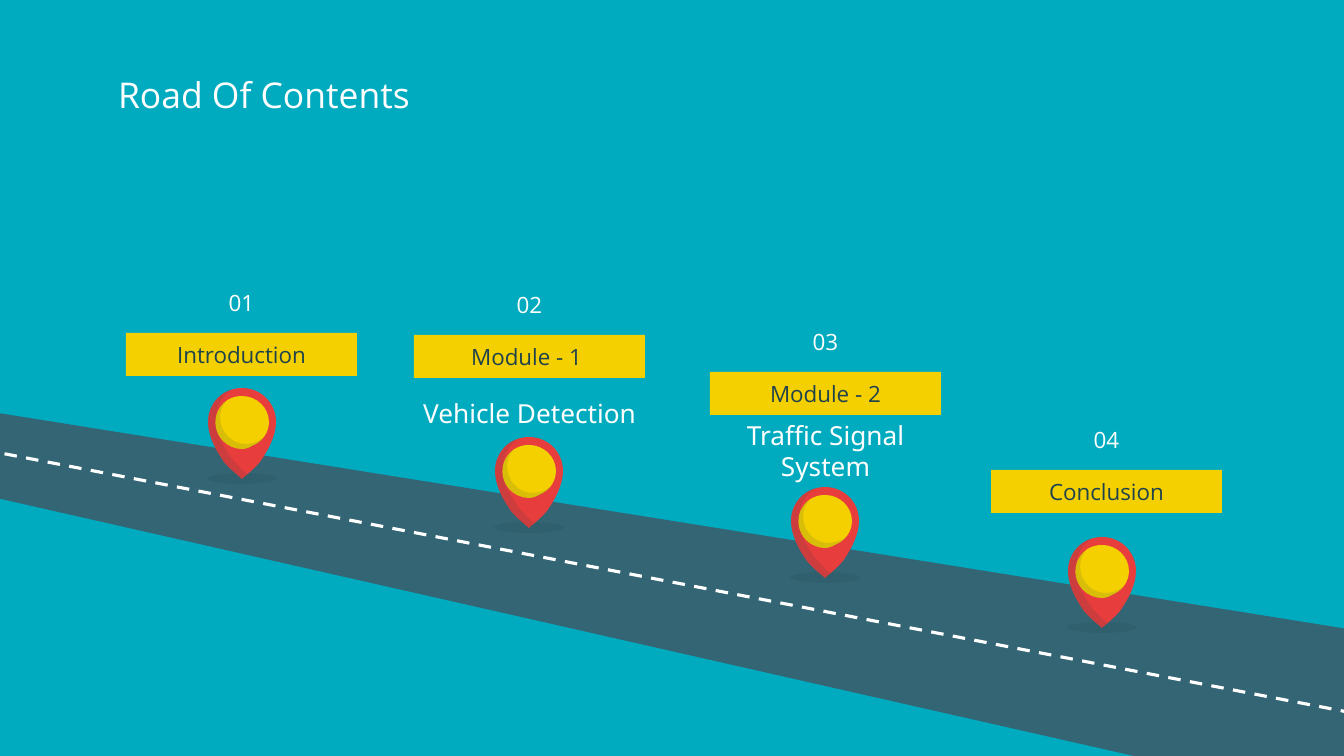
from lxml.etree import SubElement
from pptx import Presentation
from pptx.dml.color import RGBColor
from pptx.enum.dml import MSO_LINE
from pptx.enum.shapes import MSO_CONNECTOR, MSO_SHAPE
from pptx.enum.text import MSO_ANCHOR, MSO_AUTO_SIZE, PP_ALIGN
from pptx.oxml.ns import qn
from pptx.util import Pt

SCALE = 914400 / 100.8
INSET = 13
COLORS = {"sky": "00ABBF", "road": "336574", "pin": "E83D3D",
          "sign": "F4D000", "dark": "1F424C", "white": "FFFFFF"}

PIN_LEFT = [(-34, 41, -32, 48, -29, 55), (-26, 62, -22, 68, -18, 74),
            (-13, 80, -7, 85, -1, 90), (-1, 91, 0, 91, 0, 91),
            (0, 91, 1, 91, 1, 90)]
PIN_BODY = [(0, 0), (-19, 0, -34, 15, -34, 34), *PIN_LEFT,
            (7, 85, 13, 80, 18, 74), (22, 68, 26, 62, 29, 55),
            (32, 48, 34, 41, 34, 34), (34, 15, 19, 0, 0, 0)]
PIN_SHADE = [(-9, 1), (-24, 5, -34, 19, -34, 34), *PIN_LEFT,
             (1, 90, 3, 89, 5, 86), (0, 82, -5, 76, -10, 71),
             (-14, 65, -18, 59, -21, 53), (-25, 46, -26, 38, -26, 31),
             (-26, 19, -20, 7, -9, 1)]
DISC = [(0, 8), (-24, 8, -35, 36, -19, 53), (-14, 58, -7, 61, 0, 61),
        (3, 61, 7, 60, 10, 58), (20, 54, 27, 45, 27, 34), (27, 20, 15, 8, 0, 8)]
DISC_SHADE = [(-16, 13), (-29, 23, -30, 42, -19, 53), (-14, 58, -7, 61, 0, 61),
              (8, 61, 15, 57, 21, 50), (16, 54, 10, 56, 4, 56),
              (-17, 56, -30, 31, -16, 13)]
ROAD = [(1354, 630), (-8, 412), (-8, 497), (1134, 756), (1354, 756)]

STOPS = [
    {"number": "01", "name": "Introduction", "sign": (126, 333), "pin": (242, 388)},
    {"number": "02", "name": "Module - 1 ", "sign": (414, 335), "pin": (529, 437),
     "caption": "Vehicle Detection", "caption_width": 301},
    {"number": "03", "name": "Module - 2", "sign": (710, 372), "pin": (825, 487),
     "caption": "Traffic Signal System", "caption_width": 273},
    {"number": "04", "name": "Conclusion", "sign": (991, 470), "pin": (1102, 537)},
]
SIGN_WIDTH, SIGN_HEIGHT = 231, 43
NUMBER_WIDTH, TEXT_HEIGHT = 100, 47


def emu(pixels):
    """Turn pixels into EMU."""
    return round(pixels * SCALE)


def color(name):
    """Look up a named colour."""
    return RGBColor.from_string(COLORS[name])


def bend(shape, outline):
    """Join the three points of each curved part into one cubic curve."""
    segments = iter(list(shape._element.iter(qn("a:lnTo"))))
    for part in outline[1:]:
        first = next(segments)
        if len(part) == 6:
            first.tag = qn("a:cubicBezTo")
            for segment in (next(segments), next(segments)):
                first.append(segment[0])
                segment.getparent().remove(segment)


def write_text(box, text, size=16, font="Open Sans", ink="white",
               align=PP_ALIGN.CENTER, anchor=MSO_ANCHOR.MIDDLE):
    """Put one formatted paragraph into a box."""
    frame = box.text_frame
    frame.word_wrap = True
    frame.auto_size = MSO_AUTO_SIZE.NONE
    frame.vertical_anchor = anchor
    frame.margin_left = frame.margin_right = emu(INSET)
    frame.margin_top = frame.margin_bottom = emu(INSET)
    para = frame.paragraphs[0]
    para.alignment = align
    span = para.add_run()
    span.text = text
    span.font.size = Pt(size)
    span.font.name = font
    span.font.color.rgb = color(ink)


class RoadSlide:
    """Hold the style and the current slide."""

    def __init__(self, deck):
        """Add a title-only page with a plain background."""
        self.page = deck.slides.add_slide(deck.slide_layouts[5])
        self.page.background.fill.solid()
        self.page.background.fill.fore_color.rgb = color("sky")
        self.shapes = self.page.shapes

    def group(self, *parts):
        """Gather finished elements in a group."""
        self.shapes.add_group_shape(parts)

    def paint(self, shape, fill, opacity=100):
        """Give a shape a flat fill without line or shadow."""
        shape.shadow.inherit = False
        shape.line.fill.background()
        shape.fill.solid()
        shape.fill.fore_color.rgb = color(fill)
        if opacity < 100:
            tint = shape._element.spPr.find(qn("a:solidFill")).find(qn("a:srgbClr"))
            SubElement(tint, qn("a:alpha"), val=str(opacity * 1000))
        return shape

    def title(self, text, left, top, width, height):
        """Place and format the title placeholder."""
        box = self.shapes.title
        box.left, box.top = emu(left), emu(top)
        box.width, box.height = emu(width), emu(height)
        write_text(box, text, size=25.3, align=PP_ALIGN.LEFT, anchor=MSO_ANCHOR.TOP)

    def preset(self, kind, left, top, width, height, fill, opacity=100):
        """Draw a preset shape."""
        shape = self.shapes.add_shape(kind, emu(left), emu(top), emu(width), emu(height))
        return self.paint(shape, fill, opacity)

    def outline(self, outline, fill, opacity=100, origin=(0, 0)):
        """Draw a filled outline of lines and curves, moved to an origin."""
        points = [(emu(origin[0] + part[i]), emu(origin[1] + part[i + 1]))
                  for part in outline for i in range(0, len(part), 2)]
        builder = self.shapes.build_freeform(*points[0])
        builder.add_line_segments(points[1:], close=True)
        shape = builder.convert_to_shape()
        bend(shape, outline)
        return self.paint(shape, fill, opacity)

    def dashed_line(self, start, end):
        """Draw a dashed lane marking."""
        line = self.shapes.add_connector(MSO_CONNECTOR.STRAIGHT,
                                         *map(emu, start), *map(emu, end))
        line.line.color.rgb = color("white")
        line.line.width = Pt(2.25)
        line.line.dash_style = MSO_LINE.DASH
        SubElement(line._element.spPr, qn("a:effectLst"))
        return line

    def label(self, text, center, top, width, **style):
        """Add a text box centred on a position."""
        box = self.shapes.add_textbox(emu(center - width / 2), emu(top),
                                      emu(width), emu(TEXT_HEIGHT))
        write_text(box, text, **style)
        return box

    def sign(self, stop):
        """Draw the number, name and caption of a stop."""
        left, top = stop["sign"]
        center = left + SIGN_WIDTH / 2
        board = self.preset(MSO_SHAPE.RECTANGLE, left, top, SIGN_WIDTH, SIGN_HEIGHT, "sign")
        write_text(board, stop["name"], ink="dark")
        parts = [board]
        if "caption" in stop:
            parts.append(self.label(stop["caption"], center, top + 55,
                                    stop["caption_width"], size=18.7, font="Noto Sans"))
        parts.append(self.label(stop["number"], center, top - 54, NUMBER_WIDTH))
        self.group(*parts)

    def pin(self, center, top):
        """Draw a map pin with its shadow."""
        origin = center, top
        self.group(
            self.preset(MSO_SHAPE.OVAL, center - 35, top + 85, 70, 11, "dark", 13),
            self.outline(PIN_BODY, "pin", origin=origin),
            self.outline(PIN_SHADE, "dark", 13, origin),
            self.outline(DISC, "sign", origin=origin),
            self.outline(DISC_SHADE, "dark", 13, origin))


def main():
    """Build the deck and save it."""
    deck = Presentation()
    deck.slide_width, deck.slide_height = emu(1344), emu(756)
    slide = RoadSlide(deck)
    slide.title("Road Of Contents", 105, 60, 1134, 85)
    slide.group(slide.outline(ROAD, "road"),
                slide.dashed_line((1353, 713), (-10, 451)))
    for stop in STOPS:
        slide.sign(stop)
    for stop in STOPS:
        slide.pin(*stop["pin"])
    deck.save("out.pptx")


main()
